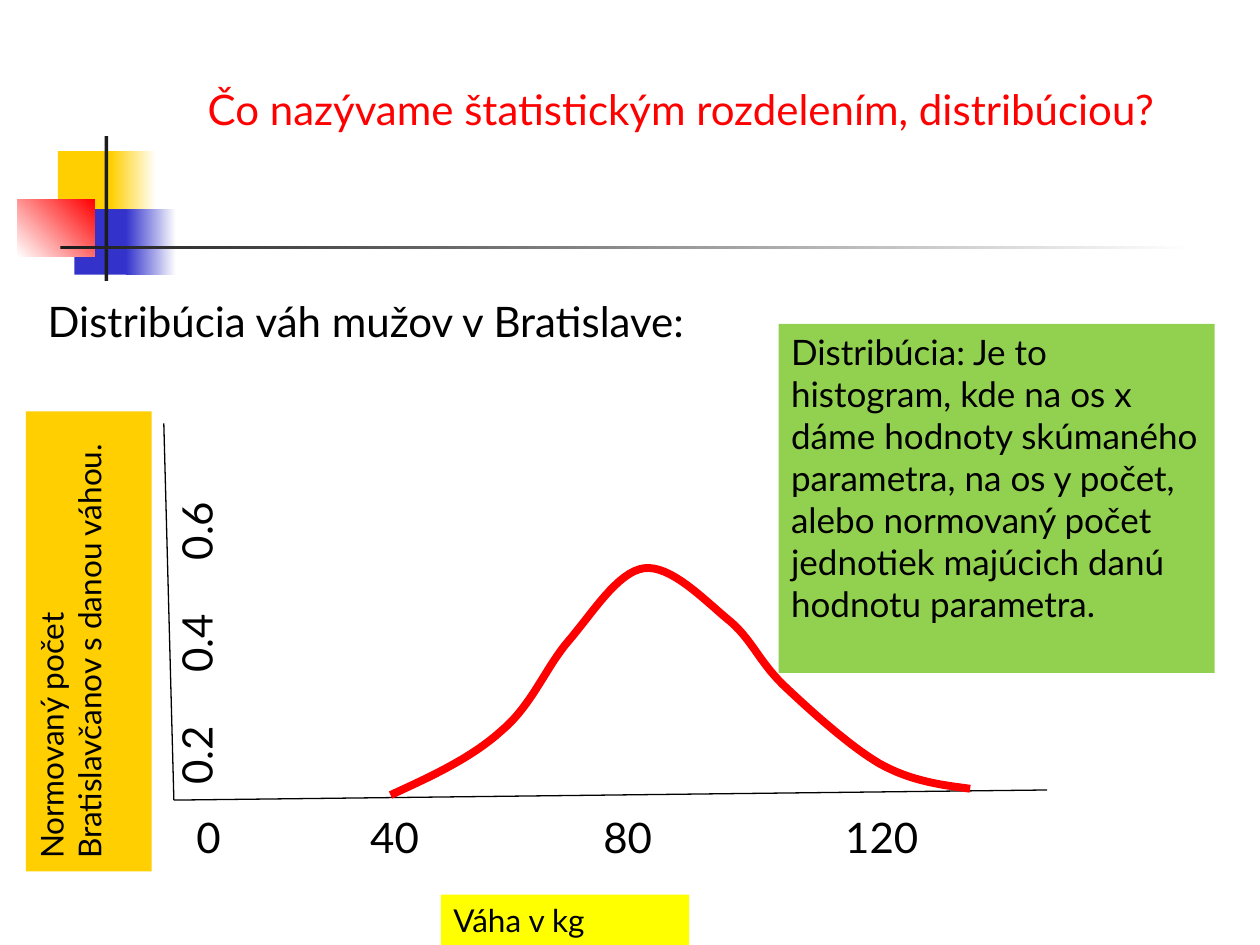
from lxml import etree
from pptx import Presentation
from pptx.dml.color import RGBColor
from pptx.enum.shapes import MSO_CONNECTOR as Connector, MSO_SHAPE as Shape
from pptx.enum.text import MSO_ANCHOR as Anchor, PP_ALIGN as Align
from pptx.oxml.ns import qn
from pptx.util import Inches, Pt

COLORS = {
    "gold": "FFCF01", "blue": "3333CC", "red": "FF0000", "ink": "1C1C1C",
    "white": "FFFFFF", "black": "000000", "yellow": "FFFF00", "green": "92D050",
}
FONT = "Lato"

# place, colour stops, gradient angle (counter-clockwise)
ORNAMENT = [
    ((0.46, 1.2, 0.48, 0.52), ["gold"], 0),
    ((0.88, 1.2, 0.36, 0.52), ["gold", "white"], 0),
    ((0.59, 1.66, 0.46, 0.52), ["blue"], 0),
    ((1, 1.66, 0.4, 0.52), ["blue", "white"], 0),
    ((0.14, 1.58, 0.61, 0.46), ["white", "red"], 45),
    ((0.83, 1.08, 0.03, 1.15), ["ink"], 0),
    ((0.48, 1.95, 9, 0.03), ["ink", "white"], 0),
]
AXES = [((1.38, 6.35), (8.31, 6.27)), ((1.38, 6.35), (1.3, 3.36))]
# start point, then two handles and an end point for each piece
BELL = [
    (3.1, 6.31), (3.43, 6.16), (3.75, 6.01), (3.98, 5.8),
    (4.22, 5.6), (4.33, 5.3), (4.51, 5.09),
    (4.7, 4.87), (4.9, 4.54), (5.11, 4.51),
    (5.32, 4.48), (5.59, 4.76), (5.77, 4.91),
    (5.96, 5.06), (6.01, 5.23), (6.21, 5.43),
    (6.41, 5.62), (6.74, 5.92), (6.98, 6.06),
    (7.23, 6.2), (7.47, 6.23), (7.7, 6.26),
]


def rgb(name):
    """Return the named colour."""
    return RGBColor.from_string(COLORS[name])


def set_all(target, values):
    """Set each attribute in values on the target."""
    for name, value in values.items():
        setattr(target, name, value)


def add_block(page, place, stops, angle=0):
    """Add a rectangle with a plain fill or a two-colour gradient."""
    block = page.shapes.add_shape(Shape.RECTANGLE, *map(Inches, place))
    block.shadow.inherit = False
    block.line.fill.background()
    if len(stops) == 1:
        block.fill.solid()
        block.fill.fore_color.rgb = rgb(stops[0])
    else:
        block.fill.gradient()
        block.fill.gradient_angle = angle
        for stop, name in zip(block.fill.gradient_stops, stops):
            stop.color.rgb = rgb(name)
    return block


def add_tabs(para, positions):
    """Put left tab stops at the given positions."""
    tab_list = etree.SubElement(para._p.get_or_add_pPr(), qn("a:tabLst"))
    for position in positions:
        etree.SubElement(tab_list, qn("a:tab"), pos=str(Inches(position)), algn="l")


def add_text(page, place, text, size=24, color="black", fill=None, rotation=0, tabs=()):
    """Add a text box, or a filled rectangle with text."""
    if fill:
        box = add_block(page, place, [fill])
    else:
        box = page.shapes.add_textbox(*map(Inches, place))
    box.rotation = rotation
    set_all(box.text_frame, {"word_wrap": True, "vertical_anchor": Anchor.TOP})
    para = box.text_frame.paragraphs[0]
    para.alignment = Align.LEFT
    if tabs:
        add_tabs(para, tabs)
    span = para.add_run()
    span.text = text
    set_all(span.font, {"name": FONT, "size": Pt(size)})
    span.font.color.rgb = rgb(color)


def add_axis(page, start, end):
    """Add a thin straight axis line."""
    axis = page.shapes.add_connector(Connector.STRAIGHT, *map(Inches, start + end))
    axis.line.width = Pt(0.75)
    axis.line.color.rgb = rgb("black")
    etree.SubElement(axis._element.spPr, qn("a:effectLst"))


def bezier_points(knots, steps=16):
    """Return points along a chain of cubic Bezier pieces."""
    points = [knots[0]]
    for first in range(0, len(knots) - 1, 3):
        piece = knots[first:first + 4]
        for step in range(1, steps + 1):
            t = step / steps
            weights = ((1 - t) ** 3, 3 * t * (1 - t) ** 2, 3 * t * t * (1 - t), t ** 3)
            points.append(tuple(
                sum(w * knot[axis] for w, knot in zip(weights, piece))
                for axis in (0, 1)))
    return points


def add_curve(page, knots):
    """Add the open red distribution curve."""
    start, *rest = [tuple(map(Inches, point)) for point in bezier_points(knots)]
    builder = page.shapes.build_freeform(*start)
    builder.add_line_segments(rest, close=False)
    curve = builder.convert_to_shape()
    curve.shadow.inherit = False
    curve.fill.background()
    curve.line.width = Pt(4.5)
    curve.line.color.rgb = rgb("red")


def main():
    """Build the slide and save it."""
    deck = Presentation()
    set_all(deck, {"slide_width": Inches(10), "slide_height": Inches(7.5)})
    page = deck.slides.add_slide(deck.slide_layouts[6])

    for place, stops, angle in ORNAMENT:
        add_block(page, place, stops, angle)
    add_text(page, (1.55, 0.61, 7.72, 0.9),
             "Čo nazývame štatistickým rozdelením, distribúciou?", color="red")
    add_text(page, (0.28, 2.3, 8.82, 0.5), "Distribúcia váh mužov v Bratislave:")

    for start, end in AXES:
        add_axis(page, start, end)
    add_curve(page, BELL)
    add_text(page, (3.5, 7.1, 1.97, 0.4), "Váha v kg", size=18, fill="yellow")
    add_text(page, (-1.12, 4.59, 3.65, 1),
             "Normovaný počet Bratislavčanov s danou váhou.",
             size=18, fill="gold", rotation=270)
    add_text(page, (1.46, 6.39, 6.85, 0.5), "0\t40\t80\t120", tabs=(1.38, 3.23, 5.15))
    add_text(page, (0.11, 4.63, 2.89, 0.5), "0.2\t0.4\t0.6", rotation=270,
             tabs=(0.89, 1.78))
    add_text(page, (6.18, 2.57, 3.46, 2.77),
             "Distribúcia: Je to histogram, kde na os x dáme hodnoty skúmaného "
             "parametra, na os y počet, alebo normovaný počet jednotiek majúcich "
             "danú hodnotu parametra.", size=20, fill="green")
    deck.save("out.pptx")


main()
